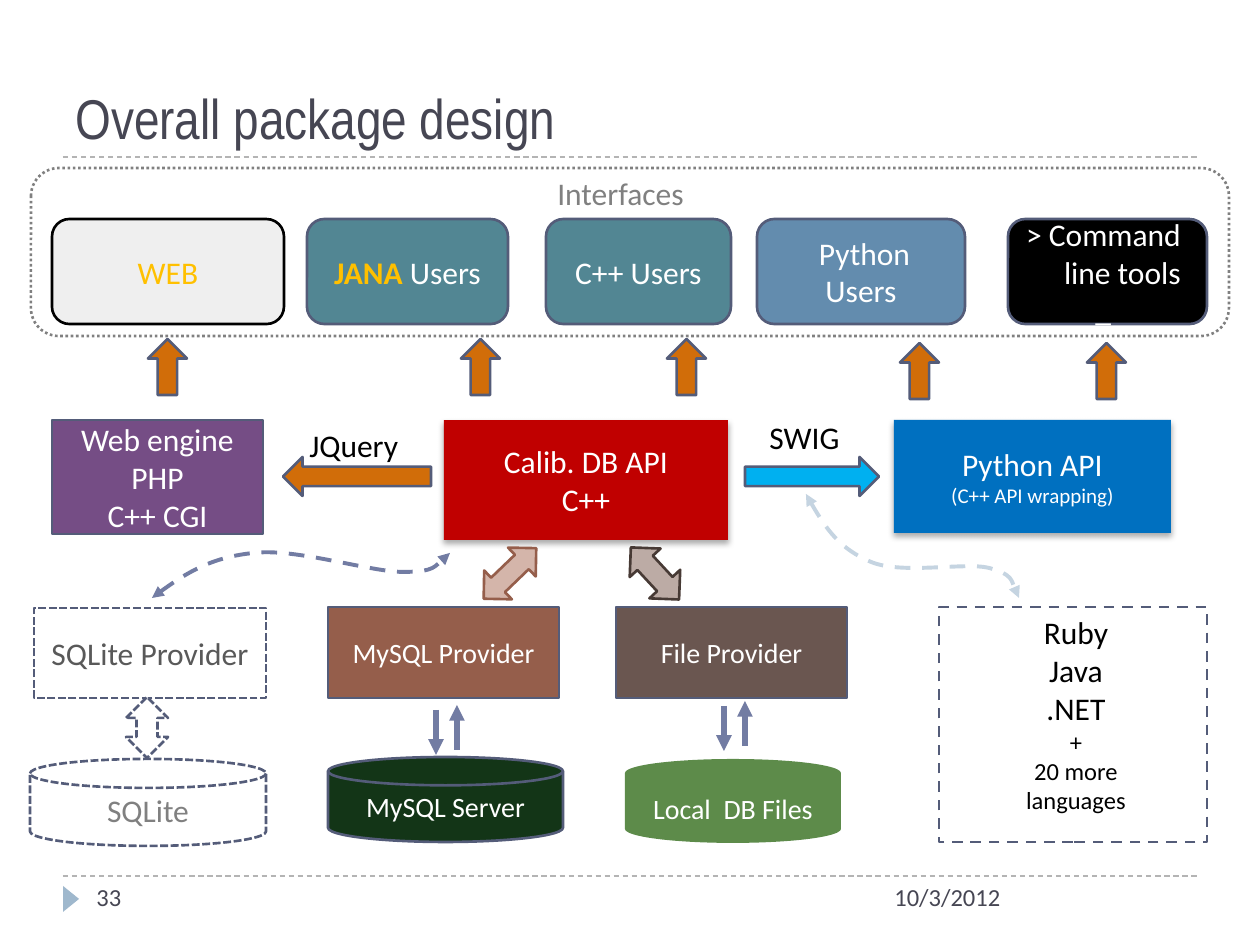
from lxml import etree
from pptx import Presentation
from pptx import util as u
from pptx.dml.color import RGBColor
from pptx.enum import dml, shapes, text
from pptx.oxml.ns import qn

PX = 914400 // 126
WHITE = RGBColor(0xFF, 0xFF, 0xFF)
BLACK = RGBColor(0, 0, 0)
INK = RGBColor(0x46, 0x46, 0x53)
GRAY = RGBColor(0x80, 0x80, 0x80)
DARK = RGBColor(0x59, 0x59, 0x59)
RULE = RGBColor(0xB4, 0xB4, 0xB4)
EDGE = RGBColor(0x54, 0x5C, 0x79)
GOLD = RGBColor(0xFF, 0xC0, 0x00)
PALE = RGBColor(0xEF, 0xEF, 0xEF)
TEAL = RGBColor(0x52, 0x86, 0x93)
STEEL = RGBColor(0x63, 0x8C, 0xAE)
ORANGE = RGBColor(0xD1, 0x6D, 0x09)
PLUM = RGBColor(0x75, 0x4D, 0x85)
RED = RGBColor(0xC0, 0, 0)
BLUE = RGBColor(0, 0x70, 0xC0)
SKY = RGBColor(0, 0xB0, 0xF0)
RUST = RGBColor(0x95, 0x5E, 0x4B)
BROWN = RGBColor(0x6A, 0x56, 0x50)
PINE = RGBColor(0x13, 0x35, 0x17)
GREEN = RGBColor(0x5D, 0x8B, 0x4A)
ROSE = RGBColor(0xD4, 0xB5, 0xAA)
TAUPE = RGBColor(0xBC, 0xAB, 0xA5)
COAL = RGBColor(0x47, 0x3A, 0x35)
SLATE = RGBColor(0x72, 0x7C, 0xA3)
ICE = RGBColor(0xC5, 0xD4, 0xE1)
MIST = RGBColor(0x9F, 0xB8, 0xCD)

KIND = shapes.MSO_SHAPE
DASH = dml.MSO_LINE.DASH
SHORT = dml.MSO_LINE.SQUARE_DOT
DOT = dml.MSO_LINE.ROUND_DOT
LEFT, MID, RIGHT = text.PP_ALIGN.LEFT, text.PP_ALIGN.CENTER, text.PP_ALIGN.RIGHT
BOX, ROUND, DISK = KIND.RECTANGLE, KIND.ROUNDED_RECTANGLE, KIND.CAN
DISK = KIND.FLOWCHART_MAGNETIC_DISK
TWO = KIND.UP_DOWN_ARROW

USERS = [
    (52, 232, PALE, BLACK, [[("WEB", GOLD)]]),
    (307, 201, TEAL, EDGE, [[("JANA", GOLD, True), (" Users", WHITE)]]),
    (546, 185, TEAL, EDGE, ["C++ Users"]),
    (757, 208, STEEL, EDGE, [" Python", "Users"]),
]
TOOLS = ["> Command", "line tools", "_"]

BLOCKS = [
    (BOX, (52, 420, 211, 114), PLUM, EDGE, None, ["Web engine", "PHP", "C++ CGI"], 18, WHITE),
    (BOX, (34, 608, 232, 90), WHITE, EDGE, SHORT, ["SQLite Provider"], 18, DARK),
    (DISK, (30, 759, 236, 87), WHITE, EDGE, SHORT, ["SQLite"], 18, GRAY),
    (BOX, (328, 607, 231, 91), RUST, EDGE, None, ["MySQL Provider"], 16, WHITE),
    (BOX, (616, 607, 231, 91), BROWN, EDGE, None, ["File Provider"], 16, WHITE),
    (DISK, (328, 757, 235, 85), PINE, EDGE, None, ["MySQL Server"], 16, WHITE),
    (DISK, (625, 759, 216, 84), GREEN, None, None, ["Local  DB Files"], 16, WHITE),
    (BOX, (939, 607, 268, 235), WHITE, EDGE, DASH, [], 18, BLACK),
]
CORES = [
    ((444, 420, 284, 120), RED, ["Calib. DB API", "C++"], [18, 18]),
    ((894, 420, 277, 113), BLUE, ["Python API", "(C++ API wrapping)"], [18, 12]),
]
ARROWS = [
    (KIND.LEFT_ARROW, (283, 457, 148, 39), ORANGE, EDGE, None, 0),
    (KIND.RIGHT_ARROW, (745, 457, 134, 39), SKY, EDGE, None, 0),
    (TWO, (126, 697, 42, 61), WHITE, EDGE, SHORT, 0),
    (TWO, (490, 537, 40, 73), ROSE, RUST, None, 46.1),
    (TWO, (634, 538, 42, 71), TAUPE, COAL, None, 317.2),
]
UPS = [(168, 339), (481, 339), (687, 339), (920, 343), (1107, 343)]
LINKS = [(436, 710, 755), (457, 750, 705), (724, 706, 751), (745, 746, 701)]
CURVES = [
    (SLATE, [(152, 598), (182, 575), (213, 557), (254, 553), (296, 548),
             (370, 572), (403, 572), (436, 572), (450, 553), (450, 553)]),
    (ICE, [(806, 494), (823, 525), (840, 549), (871, 562), (902, 575),
           (965, 562), (989, 568), (1014, 575), (1019, 598), (1019, 598)]),
]
LANGS = ["Ruby", "Java", ".NET", "+", "20 more", "languages"]
LABELS = [
    ((545, 168, 154, 50), ["Interfaces"], dict(color=GRAY)),
    ((757, 412, 96, 50), ["SWIG"], {}),
    ((297, 420, 115, 50), ["JQuery"], {}),
    ((955, 607, 242, 235), LANGS, dict(size=[18] * 3 + [14] * 3, align=MID)),
    ((882, 876, 315, 50), ["10/3/2012"], dict(size=14, color=INK)),
    ((84, 876, 273, 50), ["33"], dict(size=14, color=INK)),
    ((63, 21, 1134, 136), ["Overall package design"],
     dict(size=32, color=INK, font="Arial Narrow", anchor=text.MSO_ANCHOR.BOTTOM)),
]

deck = Presentation()
deck.slide_width, deck.slide_height = u.Inches(10), u.Inches(7.5)
page = deck.slides.add_slide(deck.slide_layouts[6])
tree = page.shapes


def scale(*spots):
    return [spot * PX for spot in spots]


def write(shape, lines, size=18, color=BLACK, font="Calibri", align=LEFT,
          anchor=text.MSO_ANCHOR.TOP):
    frame = shape.text_frame
    frame.word_wrap = True
    frame.vertical_anchor = anchor
    for i, line in enumerate(lines):
        para = frame.paragraphs[0] if i == 0 else frame.add_paragraph()
        para.alignment = align[i] if isinstance(align, list) else align
        for words, tint, *bold in [(line, color)] if isinstance(line, str) else line:
            run = para.add_run()
            run.text = words
            run.font.name = font
            run.font.size = u.Pt(size[i] if isinstance(size, list) else size)
            run.font.color.rgb = tint
            run.font.bold = bool(bold)


def stroke(line, color, width=1.5, dash=None):
    line.color.rgb = color
    line.width = u.Pt(width)
    if dash:
        line.dash_style = dash


def draw(kind, area, fill=None, edge=None, dash=None, turn=0):
    shape = tree.add_shape(kind, *scale(*area))
    shape.shadow.inherit = False
    shape.rotation = turn
    if fill is None:
        shape.fill.background()
    else:
        shape.fill.solid()
        shape.fill.fore_color.rgb = fill
    if edge is None:
        shape.line.fill.background()
    else:
        stroke(shape.line, edge, dash=dash)
    return shape


def block(kind, area, fill, edge, dash, lines, size, color, align=MID):
    shape = draw(kind, area, fill, edge, dash)
    write(shape, lines, size=size, color=color, align=align, anchor=text.MSO_ANCHOR.MIDDLE)
    return shape


def tip(shape, *ends):
    for end in ends:
        etree.SubElement(shape.line._get_or_add_ln(), qn("a:" + end), type="triangle")


def link(ends, color, width, dash=None):
    wire = tree.add_connector(shapes.MSO_CONNECTOR.STRAIGHT, *scale(*ends))
    stroke(wire.line, color, width, dash)
    etree.SubElement(wire._element.spPr, qn("a:effectLst"))
    return wire


def shade(shape):
    fx = shape._element.spPr.find(qn("a:effectLst"))
    cast = etree.SubElement(fx, qn("a:outerShdw"), blurRad=str(u.Pt(3.5)),
                            dist=str(u.Pt(2.2)), dir="5400000", rotWithShape="0")
    tone = etree.SubElement(cast, qn("a:srgbClr"), val="000000")
    etree.SubElement(tone, qn("a:alpha"), val="32000")


def curve(color, spots):
    pen = tree.build_freeform(*spots[0], scale=PX)
    pen.add_line_segments(spots[1:], close=False)
    shape = pen.convert_to_shape()
    shape.shadow.inherit = False
    shape.fill.background()
    stroke(shape.line, color, 2.25, DASH)
    tip(shape, "headEnd", "tailEnd")
    steps = list(shape._element.iter(qn("a:lnTo")))
    for i in range(0, len(steps), 3):
        bend = etree.SubElement(steps[i].getparent(), qn("a:cubicBezTo"))
        for step in steps[i:i + 3]:
            bend.append(step[0])
            step.getparent().remove(step)


for y in (157, 876):
    link((63, y, 1197, y), RULE, 0.75, DASH)
draw(KIND.ISOSCELES_TRIANGLE, (58, 891, 26, 16), MIST, turn=90)
draw(ROUND, (31, 168, 1198, 168), edge=GRAY, dash=DOT)
for x, w, fill, edge, lines in USERS:
    block(ROUND, (x, 219, w, 105), fill, edge, None, lines, 18, WHITE)
shell = block(ROUND, (1008, 219, 199, 105), BLACK, EDGE, None, TOOLS, 18, WHITE,
              [RIGHT, RIGHT, MID])
shell.text_frame.margin_right = 21 * PX
for row in BLOCKS:
    block(*row)
for area, fill, lines, size in CORES:
    shade(block(BOX, area, fill, None, None, lines, size, WHITE))
for row in ARROWS:
    draw(*row)
for x, y in UPS:
    draw(KIND.UP_ARROW, (x - 20, y, 39, 56), ORANGE, EDGE)
for x, top, end in LINKS:
    tip(link((x, top, x, end), SLATE, 3), "tailEnd")
for row in CURVES:
    curve(*row)
for area, lines, style in LABELS:
    write(tree.add_textbox(*scale(*area)), lines, **style)

deck.save("out.pptx")
